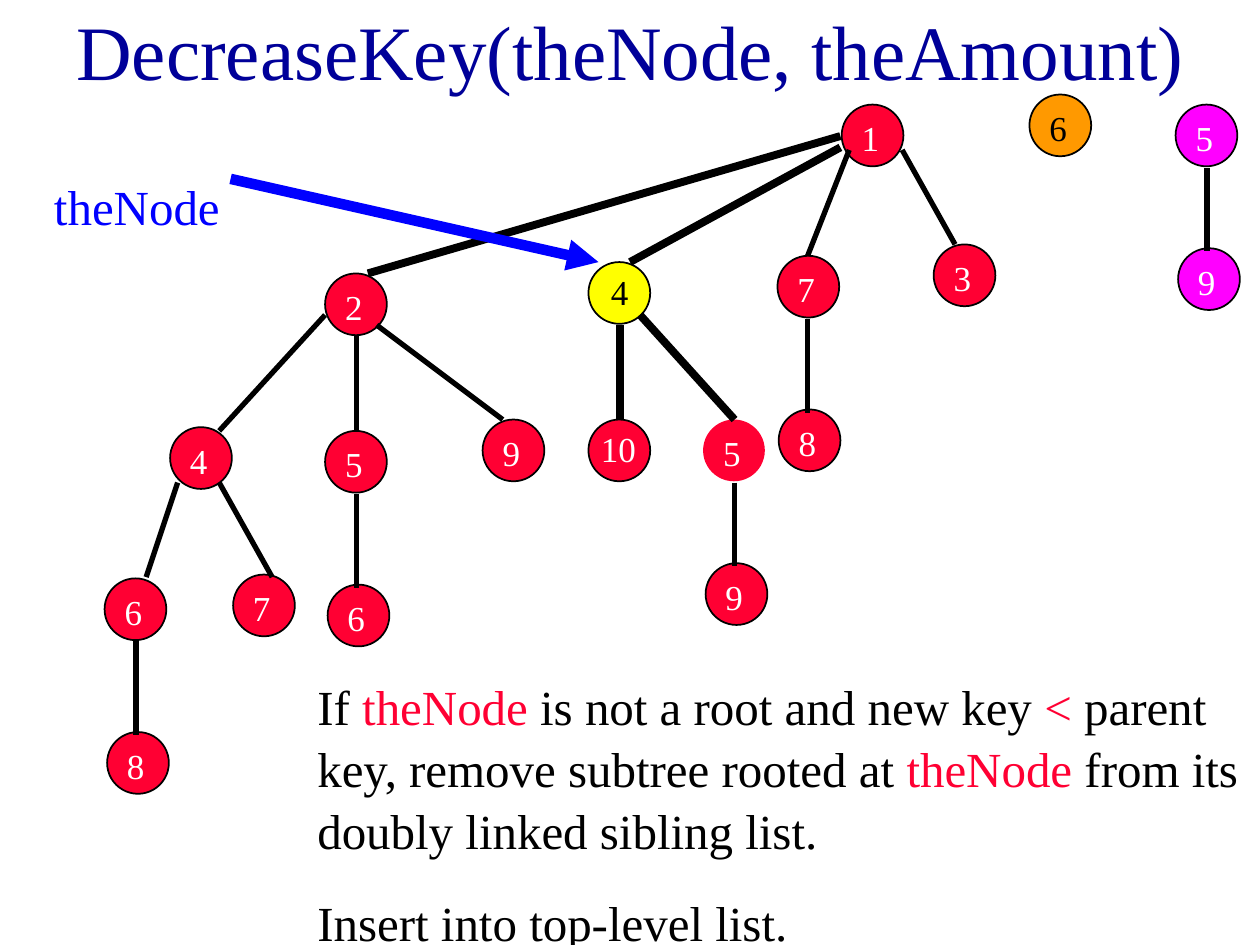
"""Build the DecreaseKey slide with its heap trees."""
import pptx
import pptx.chart.data
import pptx.dml.color
import pptx.enum.shapes
import pptx.enum.text
import pptx.oxml
import pptx.util
import lxml.etree

Inches = pptx.util.Inches
Pt = pptx.util.Pt
RED, BLACK, WHITE, BLUE = "FF0033", "000000", "FFFFFF", "0000FF"
PINK, GOLD, YELLOW, NAVY = "FF00FF", "FF9900", "FFFF00", "000099"
LEFT = pptx.enum.text.PP_ALIGN.LEFT
MIDDLE = pptx.enum.text.MSO_ANCHOR.MIDDLE


def hue(code):
    """Turn a hex string into a colour."""
    return pptx.dml.color.RGBColor.from_string(code)


def write(area, paras, size, wrap=True, align=LEFT, gap=0):
    """Add a text box of paragraphs, each a list of (text, colour) runs."""
    box = slide.shapes.add_textbox(*map(Inches, area))
    frame = box.text_frame
    frame.word_wrap = wrap
    for num, runs in enumerate(paras):
        para = frame.add_paragraph() if num else frame.paragraphs[0]
        form = {"alignment": align, "line_spacing": 1.05,
                "space_before": Pt(gap if num else 0)}
        for name, value in form.items():
            setattr(para, name, value)
        for text, code in runs:
            run = para.add_run()
            run.text = text
            for name, value in {"name": "Times New Roman", "size": Pt(size)}.items():
                setattr(run.font, name, value)
            run.font.color.rgb = hue(code)
    return frame


deck = pptx.Presentation()
deck.slide_width, deck.slide_height = Inches(10), Inches(7.5)
slide = deck.slides.add_slide(deck.slide_layouts[6])

title = write((0.17, 0, 9.67, 0.75), [[("DecreaseKey(theNode, theAmount)", NAVY)]],
              44, align=pptx.enum.text.PP_ALIGN.CENTER)
title.vertical_anchor = MIDDLE

write((2.42, 5.3, 7.58, 2.21), [
    [("If ", BLACK), ("theNode ", RED), ("is not a root and new key ", BLACK),
     ("<", RED), (" parent key, remove subtree rooted at ", BLACK),
     ("theNode", RED), (" from its doubly linked sibling list.", BLACK)],
    [("Insert into top-level list.", BLACK)],
], 28, gap=17.5)

nodes = [
    ("1", 6.68, 0.83, RED), ("7", 6.17, 2.03, RED), ("3", 7.41, 1.94, RED),
    ("8", 6.18, 3.25, RED), ("2", 2.58, 2.17, RED), ("5", 2.58, 3.42, RED),
    ("9", 3.83, 3.33, RED), ("6", 2.6, 4.64, RED), ("4", 1.35, 3.39, RED),
    ("6", 0.83, 4.59, RED), ("7", 1.85, 4.56, RED), ("8", 0.85, 5.81, RED),
    ("10", 4.67, 3.33, RED), ("4", 4.67, 2.08, YELLOW), ("5", 5.58, 3.33, RED),
    ("9", 5.6, 4.47, RED), ("6", 8.17, 0.75, GOLD), ("5", 9.33, 0.83, PINK),
    ("9", 9.35, 1.97, PINK),
]
shifts = {("10", RED): (0, 0, 0.48), ("4", YELLOW): (0.08, 0, 0.34)}
bare = ("5", 5.58)
for key, left, top, fill in nodes:
    disc = slide.shapes.add_shape(pptx.enum.shapes.MSO_SHAPE.OVAL,
                                  *map(Inches, (left, top, 0.49, 0.49)))
    disc.shadow.inherit = False
    disc.fill.solid()
    disc.fill.fore_color.rgb = hue(fill)
    if (key, left) == bare:
        disc.line.fill.background()
    else:
        disc.line.color.rgb = hue(BLACK)
        disc.line.width = Pt(1)
    right, down, width = shifts.get((key, fill), (0.06, 0.03, 0.34))
    ink = BLACK if fill in (YELLOW, GOLD) else WHITE
    write((left + right, top + down, width, 0.43), [[(key, ink)]], 20, wrap=False)

thin = [
    (6.41, 2.53, 6.41, 3.28), (6.74, 1.19, 6.41, 2.03), (7.16, 1.19, 7.58, 1.94),
    (2.83, 3.92, 2.83, 4.67), (2.83, 2.67, 2.83, 3.42), (2.99, 2.58, 3.99, 3.33),
    (1.08, 5.08, 1.08, 5.83), (1.41, 3.83, 1.16, 4.58), (1.74, 3.83, 2.16, 4.58),
    (2.58, 2.5, 1.74, 3.42), (5.83, 3.83, 5.83, 4.49), (9.58, 1.33, 9.58, 1.99),
]
thick = [
    (4.92, 2.58, 4.92, 3.33), (5.08, 2.5, 5.83, 3.33),
    (6.67, 1.17, 5, 2.08), (6.67, 1.08, 2.92, 2.17),
]
arrow = [(1.83, 1.42, 4.75, 2.08)]
for ends, width, code in ((thin, 3, BLACK), (thick, 4.5, BLACK), (arrow, 6, BLUE)):
    for spot in ends:
        edge = slide.shapes.add_connector(
            pptx.enum.shapes.MSO_CONNECTOR.STRAIGHT, *map(Inches, spot))
        edge.line.color.rgb = hue(code)
        edge.line.width = Pt(width)
        props = edge._element.spPr
        lxml.etree.SubElement(props, pptx.oxml.ns.qn("a:effectLst"))
        if ends is arrow:
            tip = lxml.etree.SubElement(props.ln, pptx.oxml.ns.qn("a:tailEnd"))
            tip.set("type", "triangle")

write((0.33, 1.33, 1.92, 0.57), [[("theNode", BLUE)]], 28)

deck.save("out.pptx")
